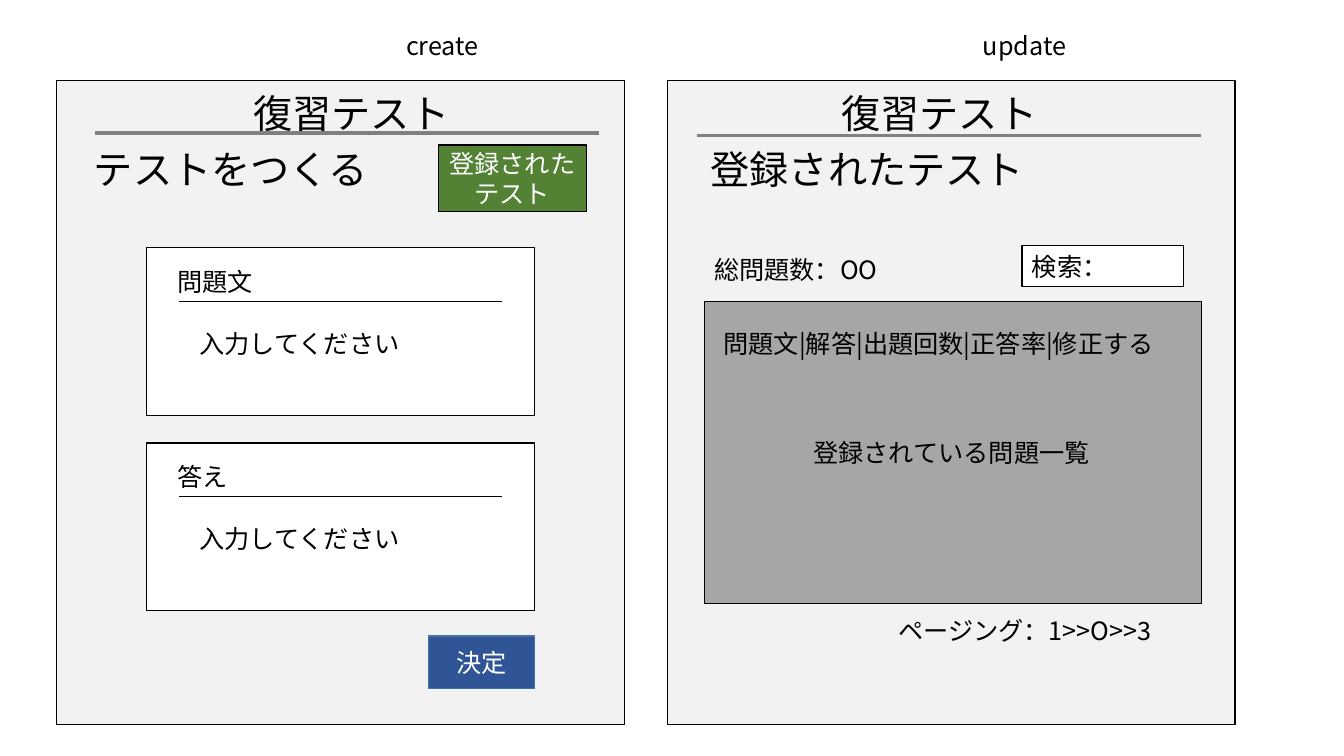
"""Build a wireframe slide with the create and update screens of a review test."""
from dataclasses import dataclass

from lxml.etree import SubElement
from pptx import Presentation
from pptx.dml.color import RGBColor
from pptx.enum.shapes import MSO_CONNECTOR as CONN, MSO_SHAPE as SHAPE
from pptx.enum.text import MSO_ANCHOR as ANCHOR, MSO_AUTO_SIZE as AUTO, PP_ALIGN as ALIGN
from pptx.oxml.ns import qn
from pptx.shapes.group import GroupShape
from pptx.text.text import TextFrame
from pptx.util import Pt

FONT = "Noto Sans CJK JP"
BLACK = RGBColor(0x00, 0x00, 0x00)
WHITE = RGBColor(0xFF, 0xFF, 0xFF)
PANEL = RGBColor(0xF2, 0xF2, 0xF2)
LIST_GRAY = RGBColor(0xA6, 0xA6, 0xA6)
RULE_GRAY = RGBColor(0x80, 0x80, 0x80)
GREEN = RGBColor(0x54, 0x82, 0x35)
BLUE = RGBColor(0x2F, 0x55, 0x97)
BLUE_EDGE = RGBColor(0x43, 0x73, 0x9E)

BODY, HEADING = 18, 28
BODY_H, HEADING_H = 29, 41.2


@dataclass
class Box:
    x: float
    y: float
    w: float
    h: float
    fill: RGBColor
    edge: RGBColor = BLACK
    weight: float = 1
    text: str = ""
    color: RGBColor = WHITE
    align: ALIGN = ALIGN.CENTER


@dataclass
class Label:
    x: float
    y: float
    w: float
    text: str
    size: float = BODY
    align: ALIGN = ALIGN.LEFT


@dataclass
class Rule:
    x: float
    y: float
    w: float
    color: RGBColor = BLACK
    weight: float = 0.5


Item = Box | Label | Rule


def write(tf: TextFrame, text: str, size: float, color: RGBColor, align: ALIGN) -> None:
    tf.word_wrap = True
    tf.text = text
    p = tf.paragraphs[0]
    p.alignment = align
    font = p.runs[0].font
    font.size = Pt(size)
    font.name = FONT
    font.color.rgb = color
    SubElement(font._element, qn("a:ea"), typeface=FONT)


def draw_box(g: GroupShape, box: Box) -> None:
    sp = g.shapes.add_shape(SHAPE.RECTANGLE, Pt(box.x), Pt(box.y), Pt(box.w), Pt(box.h))
    sp.shadow.inherit = False
    sp.fill.solid()
    sp.fill.fore_color.rgb = box.fill
    sp.line.color.rgb = box.edge
    sp.line.width = Pt(box.weight)
    if box.text:
        sp.text_frame.vertical_anchor = ANCHOR.MIDDLE
        write(sp.text_frame, box.text, BODY, box.color, box.align)


def draw_label(g: GroupShape, label: Label) -> None:
    h = HEADING_H if label.size == HEADING else BODY_H
    sp = g.shapes.add_textbox(Pt(label.x), Pt(label.y), Pt(label.w), Pt(h))
    write(sp.text_frame, label.text, label.size, BLACK, label.align)
    sp.text_frame.auto_size = AUTO.SHAPE_TO_FIT_TEXT


def draw_rule(g: GroupShape, rule: Rule) -> None:
    cx = g.shapes.add_connector(
        CONN.STRAIGHT, Pt(rule.x), Pt(rule.y), Pt(rule.x + rule.w), Pt(rule.y))
    cx.line.color.rgb = rule.color
    cx.line.width = Pt(rule.weight)
    SubElement(cx._element.spPr, qn("a:effectLst"))


def draw(g: GroupShape, item: Item) -> None:
    if isinstance(item, Box):
        draw_box(g, item)
    elif isinstance(item, Label):
        draw_label(g, item)
    else:
        draw_rule(g, item)


def panel(x: float) -> Box:
    return Box(x, 57.5, 405.5, 460, PANEL)


def entry(y: float, title: str) -> list[Item]:
    return [
        Box(104.5, y, 277.5, 120, WHITE),
        Label(119.4, y + 9.4, 83.5, title),
        Rule(128, y + 38.4, 230.5),
        Label(135.4, y + 54, 202.5, "入力してください"),
    ]


CREATE: list[Item] = [
    panel(40.5),
    Label(283, 18, 163.5, "create"),
    Label(60, 100, 222.5, "テストをつくる", HEADING),
    *entry(177, "問題文"),
    *entry(316.3, "答え"),
    Box(306, 454.3, 76, 37.5, BLUE, BLUE_EDGE, text="決定"),
    Box(313, 103.7, 106, 47.5, GREEN, text="登録されたテスト"),
    Label(174, 60, 170, "復習テスト", HEADING),
    Rule(68, 95, 360, RULE_GRAY, 2.25),
]
UPDATE: list[Item] = [
    panel(476.7),
    Label(495.5, 100, 248, "登録されたテスト", HEADING, ALIGN.CENTER),
    Label(594, 60.3, 170, "復習テスト", HEADING),
    Box(503.3, 215.3, 355, 216, LIST_GRAY),
    Label(573.8, 309, 214, "登録されている問題一覧"),
    Label(634.5, 436.3, 223, "ページング：1>>O>>3"),
    Box(730, 175.5, 115.5, BODY_H, WHITE, weight=0.75, text="検索：",
        color=BLACK, align=ALIGN.LEFT),
    Label(509.7, 231, 374.5, "問題文|解答|出題回数|正答率|修正する"),
    Label(695, 18, 163.5, "update"),
    Label(503, 178, 139, "総問題数：OO"),
    Rule(498, 96.5, 360, RULE_GRAY, 2.25),
]


def main() -> None:
    prs = Presentation()
    prs.slide_width, prs.slide_height = Pt(960), Pt(540)
    s = prs.slides.add_slide(prs.slide_layouts[6])
    for screen in (CREATE, UPDATE):
        g = s.shapes.add_group_shape()
        for item in screen:
            draw(g, item)
    prs.save("out.pptx")


if __name__ == "__main__":
    main()
